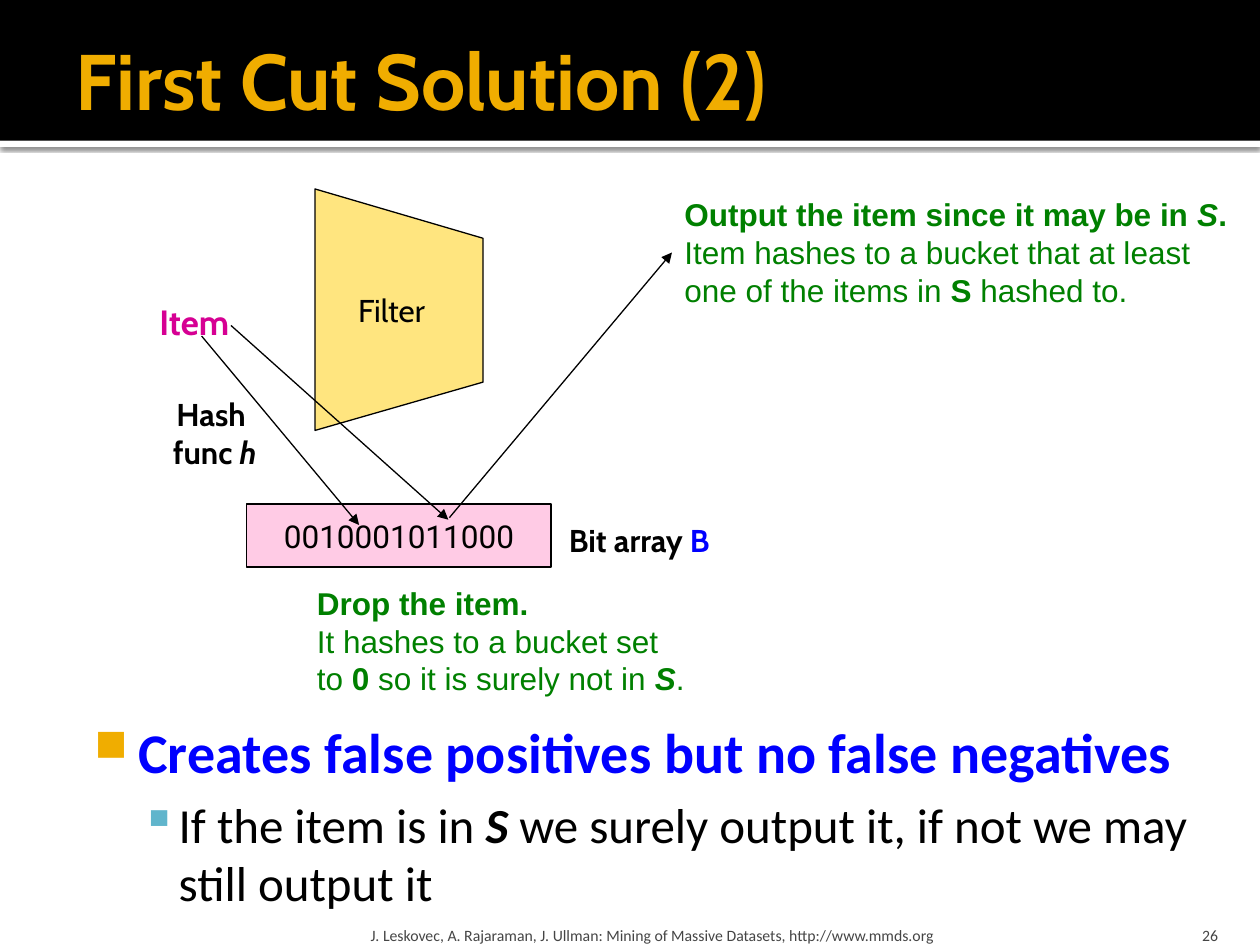
from typing import NamedTuple

from lxml import etree
from pptx import Presentation
from pptx.dml.color import RGBColor
from pptx.enum.shapes import MSO_CONNECTOR, MSO_SHAPE
from pptx.enum.text import MSO_ANCHOR, MSO_AUTO_SIZE, PP_ALIGN
from pptx.oxml.ns import qn
from pptx.util import Inches, Pt

RECTANGLE = MSO_SHAPE.RECTANGLE
STRAIGHT = MSO_CONNECTOR.STRAIGHT
TOP, MIDDLE, BOTTOM = MSO_ANCHOR.TOP, MSO_ANCHOR.MIDDLE, MSO_ANCHOR.BOTTOM
LEFT, CENTER, RIGHT = PP_ALIGN.LEFT, PP_ALIGN.CENTER, PP_ALIGN.RIGHT
FIT_TEXT = MSO_AUTO_SIZE.SHAPE_TO_FIT_TEXT
LEFT_SIDE = 1

COLORS = {
    "black": "000000", "white": "FFFFFF", "gold": "F0AD00", "blue": "0000FF",
    "green": "008000", "magenta": "D60093", "yellow": "FFCC00",
    "pink": "FF99CC", "teal": "60B5CC", "gray": "454545",
}
COLUMNS, ROWS = 120, 90  # grid over the whole slide
CELL = Inches(10) / COLUMNS


class Area(NamedTuple):
    column: float
    row: float
    width: float
    height: float


class Run(NamedTuple):
    text: str
    bold: bool = False
    italic: bool = False
    color: str = ""


class Bullet(NamedTuple):
    character: str
    color: str
    margin: float
    hanging: float
    size: int = 100


class Label(NamedTuple):
    area: Area
    paragraphs: list
    format: dict


class Arrow(NamedTuple):
    start: tuple
    end: tuple


def cells(*values: float) -> list:
    return [round(value * CELL) for value in values]


def rgb(name: str) -> RGBColor:
    return RGBColor.from_string(COLORS[name])


def paint(shape, fill: str, opacity: int = 100, line: str = "") -> None:
    shape.shadow.inherit = False
    shape.fill.solid()
    shape.fill.fore_color.rgb = rgb(fill)
    if opacity < 100:
        color = shape._element.spPr.find(".//" + qn("a:srgbClr"))
        etree.SubElement(color, qn("a:alpha"), val=str(opacity * 1000))
    if line:
        shape.line.color.rgb = rgb(line)
        shape.line.width = Pt(0.75)
    else:
        shape.line.fill.background()


def set_bullet(paragraph, bullet: Bullet) -> None:
    properties = paragraph._p.get_or_add_pPr()
    properties.set("marL", str(Inches(bullet.margin)))
    properties.set("indent", str(-Inches(bullet.hanging)))
    color = etree.SubElement(properties, qn("a:buClr"))
    etree.SubElement(color, qn("a:srgbClr"), val=COLORS[bullet.color])
    etree.SubElement(properties, qn("a:buSzPct"), val=str(bullet.size * 1000))
    etree.SubElement(properties, qn("a:buChar"), char=bullet.character)


def write_paragraph(paragraph, runs: list, *, size: float, font: str, color: str = "black",
                    align=LEFT, bullet: Bullet = None, level: int = 0,
                    space_before: float = 0) -> None:
    """Write formatted runs; a newline inside a run is a line break."""
    paragraph.alignment = align
    paragraph.level = level
    paragraph.space_before = Pt(space_before)
    if bullet:
        set_bullet(paragraph, bullet)
    for run in runs:
        for index, piece in enumerate(run.text.split("\n")):
            if index:
                paragraph.add_line_break()
            text_run = paragraph.add_run()
            text_run.text = piece
            text_run.font.size = Pt(size)
            text_run.font.name = font
            text_run.font.bold = run.bold
            text_run.font.italic = run.italic
            text_run.font.color.rgb = rgb(run.color or color)


def set_frame(shape, anchor=TOP, wrap: bool = False, grow: bool = False,
              insets: tuple = (0.1, 0.05, 0.1, 0.05)):
    frame = shape.text_frame
    frame.word_wrap = wrap
    frame.auto_size = FIT_TEXT if grow else MSO_AUTO_SIZE.NONE
    frame.vertical_anchor = anchor
    (frame.margin_left, frame.margin_top,
     frame.margin_right, frame.margin_bottom) = map(Inches, insets)
    return frame


def add_text(slide, area: Area, paragraphs: list, *, anchor=TOP, wrap: bool = False,
             grow: bool = False, insets: tuple = (0.1, 0.05, 0.1, 0.05), **style):
    box = slide.shapes.add_textbox(*cells(*area))
    frame = set_frame(box, anchor, wrap, grow, insets)
    for index, runs in enumerate(paragraphs):
        paragraph = frame.add_paragraph() if index else frame.paragraphs[0]
        write_paragraph(paragraph, runs, **style)
    return box


def add_rectangle(slide, area: Area, fill: str, **look):
    shape = slide.shapes.add_shape(RECTANGLE, *cells(*area))
    paint(shape, fill, **look)
    return shape


def add_arrow(slide, arrow: Arrow):
    connector = slide.shapes.add_connector(STRAIGHT, *cells(*arrow.start, *arrow.end))
    connector.line.color.rgb = rgb("black")
    connector.line.width = Pt(0.75)
    etree.SubElement(connector.line._get_or_add_ln(), qn("a:tailEnd"), type="triangle")
    etree.SubElement(connector._element.spPr, qn("a:effectLst"))
    return connector


def add_header(slide) -> None:
    strip = add_rectangle(slide, Area(0, 13.4, COLUMNS, 0.6), "white")
    effects = strip._element.spPr.find(qn("a:effectLst"))
    shadow = etree.SubElement(effects, qn("a:outerShdw"), blurRad=str(Pt(2.5)),
                              dist=str(Pt(0.8)), dir="5400000", algn="tl", rotWithShape="0")
    color = etree.SubElement(shadow, qn("a:srgbClr"), val=COLORS["black"])
    etree.SubElement(color, qn("a:alpha"), val="60000")
    add_rectangle(slide, Area(0, 0, COLUMNS, 13.4), "black")
    add_text(slide, Area(6, 1, 108, 13), [[Run("First Cut Solution (2)", True)]],
             anchor=MIDDLE, wrap=True, insets=(0.1, 0.05, 0.05, 0.05),
             size=45, font="Cabin", color="gold")


def add_conclusions(slide) -> None:
    box = slide.shapes.add_textbox(*cells(6.7, 67.1, 110, 20.9))
    frame = set_frame(box, wrap=True, insets=(0.06, 0.1, 0.1, 0.05))
    write_paragraph(frame.paragraphs[0],
                    [Run("Creates false positives but no false negatives", True)],
                    size=32, font="Calibri", color="blue",
                    bullet=Bullet("■", "gold", 0.48, 0.35, 80))
    write_paragraph(frame.add_paragraph(),
                    [Run("If the item is in "), Run("S", True, True),
                     Run(" we surely output it, if not we may still output it")],
                    size=28, font="Calibri", level=1, space_before=5.6,
                    bullet=Bullet("▪", "teal", 0.8, 0.3))


def add_filter(slide) -> None:
    builder = slide.shapes.build_freeform(*cells(30, 41), scale=1.0)
    corners = [(46, 36.4), (46, 22.7), (30, 18)]
    builder.add_line_segments([cells(*corner) for corner in corners], close=True)
    shape = builder.convert_to_shape()
    paint(shape, "yellow", opacity=50, line="black")
    frame = set_frame(shape, MIDDLE, insets=(0, 0.05, 0.12, 0.05))
    write_paragraph(frame.paragraphs[0], [Run("Filter")], size=18, font="Cabin", align=CENTER)


def add_bit_array(slide) -> None:
    shape = add_rectangle(slide, Area(23.5, 48, 29, 6), "pink", opacity=50, line="black")
    frame = set_frame(shape, MIDDLE)
    write_paragraph(frame.paragraphs[0], [Run("0010001011000")],
                    size=18, font="Roboto", align=CENTER)


OUTCOME = dict(size=18, font="Arial", color="green", grow=True)
CAPTION = dict(size=18, font="Cabin", grow=True)
FOOTER = dict(size=9, font="Calibri", color="gray", anchor=BOTTOM, wrap=True)

OUTPUT = Label(Area(64, 18, 54.6, 12.1), [
    [Run("Output the item since it may be in ", True), Run("S", True, True), Run(".", True)],
    [Run("Item hashes to a bucket that at least \none of the items in "),
     Run("S", True), Run(" hashed to.")]], OUTCOME)
LABELS = [
    Label(Area(14, 28, 9.2, 5.2), [[Run("Item", True)]],
          dict(size=20, font="Cabin", color="magenta", grow=True)),
    Label(Area(14.9, 37, 11.1, 8.5), [[Run("Hash \nfunc ", True), Run("h", True, True)]],
          dict(CAPTION, align=CENTER, wrap=True)),
    Label(Area(29, 55, 37.8, 12.1), [
        [Run("Drop the item.", True)],
        [Run("It hashes to a bucket set \nto "), Run("0", True),
         Run(" so it is surely not in "), Run("S", True, True), Run(".")]], OUTCOME),
    Label(Area(53, 49, 16.2, 4.8), [[Run("Bit array ", True), Run("B", True, color="blue")]],
          CAPTION),
    Label(Area(34.7, 86.4, 72.2, 3.6), [[Run(
        "J. Leskovec, A. Rajaraman, J. Ullman: Mining of Massive Datasets, "
        "http://www.mmds.org")]], dict(FOOTER, insets=(0.05, 0.05, 0.05, 0))),
    Label(Area(107.6, 86.4, 9.6, 3.6), [[Run("26")]],
          dict(FOOTER, align=RIGHT, insets=(0.1, 0.05, 0.1, 0))),
]
HASH_ARROWS = [Arrow((22, 31), (42.7, 49.5)), Arrow((19.2, 32), (34.2, 50))]
OUTPUT_ARROW = Arrow((42.8, 49.3), (64, 24.1))


def main() -> None:
    presentation = Presentation()
    presentation.slide_width, presentation.slide_height = cells(COLUMNS, ROWS)
    slide = presentation.slides.add_slide(presentation.slide_layouts[6])

    add_header(slide)
    add_conclusions(slide)

    # Diagram of the filter and its bit array
    add_filter(slide)
    add_bit_array(slide)
    for arrow in HASH_ARROWS:
        add_arrow(slide, arrow)
    output_box = add_text(slide, OUTPUT.area, OUTPUT.paragraphs, **OUTPUT.format)
    add_arrow(slide, OUTPUT_ARROW).end_connect(output_box, LEFT_SIDE)

    # Captions, outcomes and footer
    for label in LABELS:
        add_text(slide, label.area, label.paragraphs, **label.format)

    presentation.save("out.pptx")


if __name__ == "__main__":
    main()
